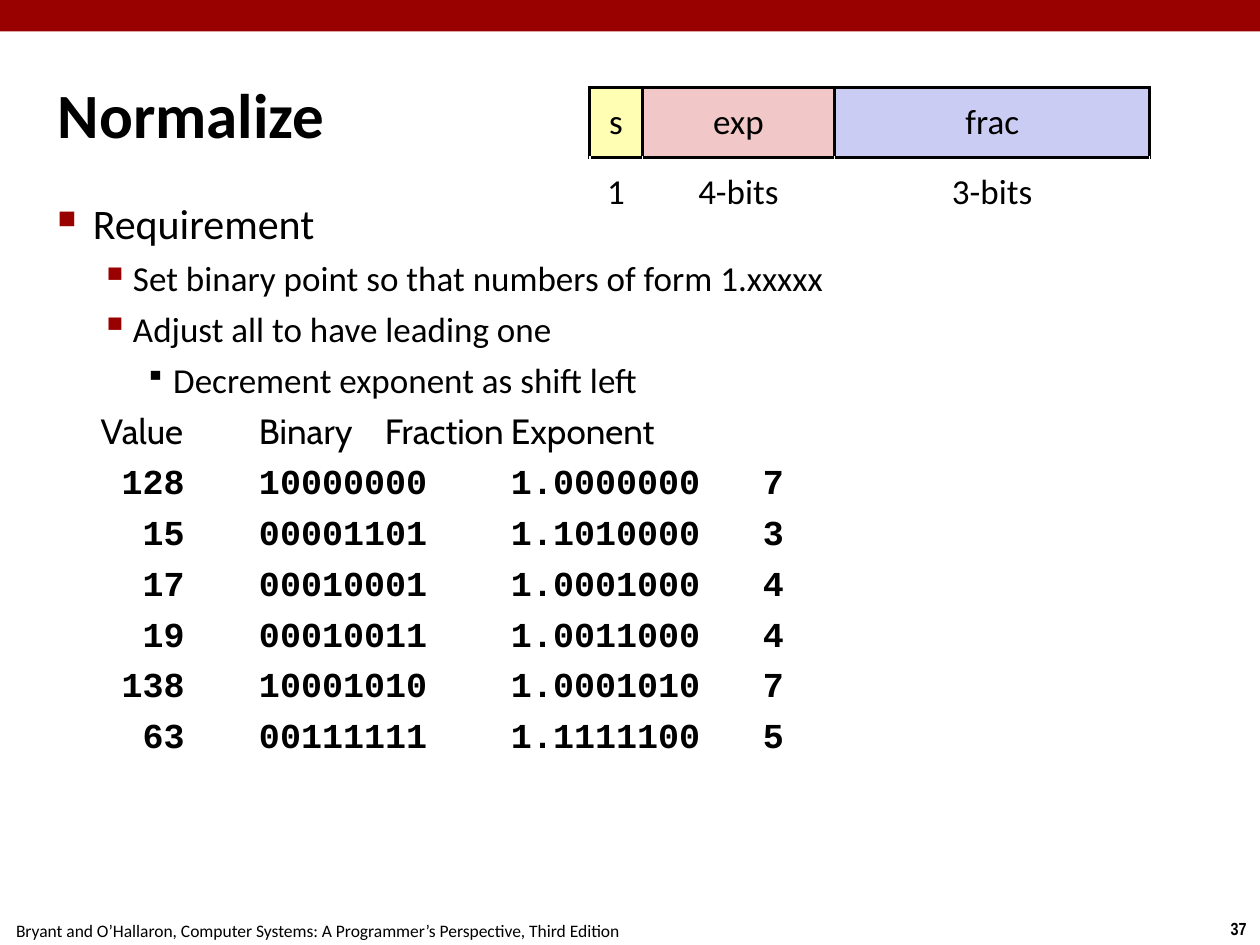
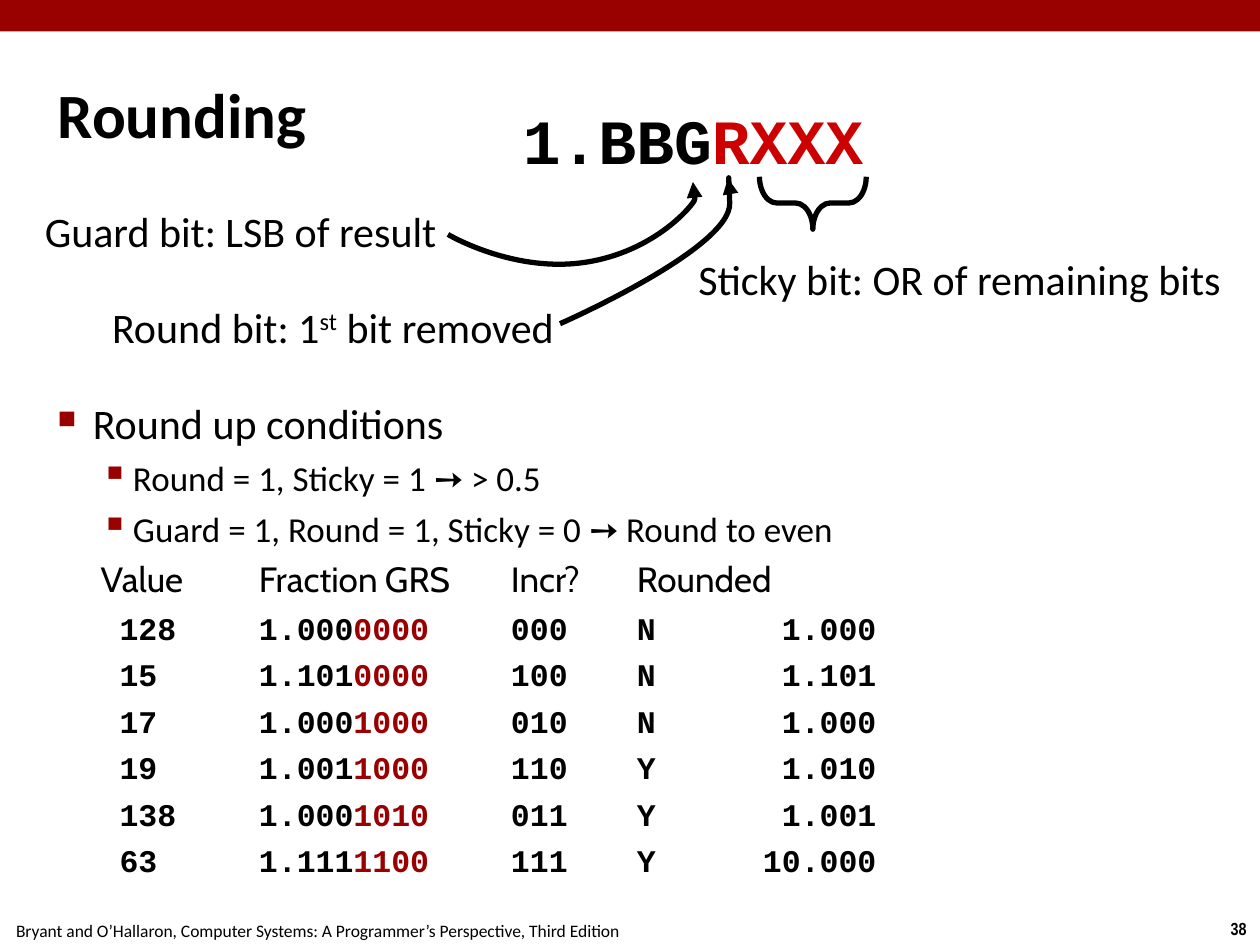
import pptx
import pptx.util
import pptx.dml.color
import pptx.enum.shapes
import pptx.enum.text
import pptx.oxml.ns
import lxml.etree

Pt = pptx.util.Pt
qn = pptx.oxml.ns.qn
SHAPE = pptx.enum.shapes.MSO_SHAPE
ALIGN = pptx.enum.text.PP_ALIGN
ANCHOR = pptx.enum.text.MSO_ANCHOR
AUTO = pptx.enum.text.MSO_AUTO_SIZE

BLACK, BAND, DROPPED, REMOVED = "000000", "990000", "980002", "CC0000"
SANS, HEAD, MONO, NUMBER = "Calibri", "Cabin", "Courier New", "Arial Narrow"
FOOTER = "Bryant and O’Hallaron, Computer Systems: A Programmer’s Perspective, Third Edition"
LEVELS = {
    "topic": (20, -20, 6, "■", BAND, 60),
    "point": (43, -18.5, 5, "▪", BAND, 110),
    "detail": (66, -16, 5, "▪", BLACK, 80),
    "row": (43, -18.5, 5, None, None, None),
}


def rgb(value):
    """Return the colour for a hex string."""
    return pptx.dml.color.RGBColor.from_string(value)


def child(parent, tag, **attrs):
    """Append a drawing element to parent and return it."""
    return lxml.etree.SubElement(parent, qn(tag), {k: str(v) for k, v in attrs.items()})


class Deck:
    """Holds the presentation style and the current slide."""

    def __init__(self):
        """Start an empty 10 by 7.5 inch presentation."""
        self.prs = pptx.Presentation()
        self.prs.slide_width, self.prs.slide_height = Pt(720), Pt(540)

    def font(self, p, size, name=SANS, bold=False, color=BLACK):
        """Set the font of a paragraph."""
        p.font.size, p.font.name, p.font.bold = Pt(size), name, bold
        p.font.color.rgb = rgb(color)

    def frame(self, tf, inset=3, wrap=True, anchor=ANCHOR.TOP):
        """Set the insets, wrapping and anchor of a text frame."""
        tf.margin_left = tf.margin_right = tf.margin_top = tf.margin_bottom = Pt(inset)
        tf.word_wrap, tf.vertical_anchor = wrap, anchor
        tf.auto_size = AUTO.NONE if wrap else AUTO.SHAPE_TO_FIT_TEXT

    def runs(self, p, parts):
        """Add plain strings or (text, colour) pairs as runs."""
        for part in [parts] if isinstance(parts, str) else parts:
            text, color = (part, None) if isinstance(part, str) else part
            r = p.add_run()
            r.text = text
            if color:
                r.font.color.rgb = rgb(color)

    def slide(self, title, number):
        """Add a slide with its band, title and footer."""
        self.s = self.prs.slides.add_slide(self.prs.slide_layouts[5])
        sp = self.s.shapes.add_shape(SHAPE.RECTANGLE, 0, 0, Pt(720), Pt(18))
        sp.shadow.inherit = False
        sp.fill.solid()
        sp.fill.fore_color.rgb = rgb(BAND)
        sp.line.fill.background()
        sp = self.s.shapes.title
        sp.left, sp.top, sp.width, sp.height = Pt(30), Pt(20), Pt(660), Pt(90)
        self.frame(sp.text_frame, anchor=ANCHOR.MIDDLE)
        p = sp.text_frame.paragraphs[0]
        p.alignment = ALIGN.LEFT
        self.font(p, 36, bold=True)
        self.runs(p, title)
        self.text((695.5, 520.5, 24.5, 19.5), number, 10, NUMBER, True, ALIGN.CENTER, inset=4)
        self.text((-1.5, 522, 366, 19.5), FOOTER, 10, align=ALIGN.CENTER, inset=4)

    def text(self, at, parts, size, name=SANS, bold=False, align=ALIGN.LEFT, inset=3, wrap=False):
        """Add a one-paragraph text box and return the paragraph."""
        tf = self.s.shapes.add_textbox(*map(Pt, at)).text_frame
        self.frame(tf, inset, wrap)
        p = tf.paragraphs[0]
        p.alignment = align
        self.font(p, size, name, bold)
        self.runs(p, parts)
        return p

    def body(self, top, lines):
        """Add the outline from (level, parts, size, font, bold) lines."""
        tf = self.s.shapes.add_textbox(Pt(30), Pt(top), Pt(660), Pt(538 - top)).text_frame
        self.frame(tf)
        for i, (level, parts, size, name, bold) in enumerate(lines):
            p = tf.add_paragraph() if i else tf.paragraphs[0]
            left, indent, before, bullet, color, percent = LEVELS[level]
            p.space_before = Pt(before)
            pr = p._p.get_or_add_pPr()
            pr.set("marL", str(Pt(left)))
            pr.set("indent", str(Pt(indent)))
            pr.set("defTabSz", str(Pt(72)))
            if bullet:
                child(child(pr, "a:buClr"), "a:srgbClr", val=color)
                child(pr, "a:buSzPct", val=percent * 1000)
                child(pr, "a:buChar", char=bullet)
            else:
                child(pr, "a:buNone")
            self.font(p, size, name, bold)
            self.runs(p, parts)

    def fields(self, at, widths, height, names, sizes, fills):
        """Add a table of boxed field names over their sizes."""
        frame = self.s.shapes.add_table(2, len(widths), *map(Pt, at), Pt(sum(widths)), Pt(2 * height))
        table = frame.table
        table.first_row = table.horz_banding = False
        for row in table.rows:
            row.height = Pt(height)
        for c, width in enumerate(widths):
            table.columns[c].width = Pt(width)
            for r, text in enumerate((names[c], sizes[c])):
                cell = table.cell(r, c)
                cell.margin_left = cell.margin_right = Pt(4)
                cell.margin_top = cell.margin_bottom = Pt(4)
                cell.vertical_anchor = ANCHOR.MIDDLE
                p = cell.text_frame.paragraphs[0]
                p.alignment = ALIGN.CENTER
                self.font(p, 20)
                self.runs(p, text)
                for side in ("T",) if r else ("L", "R", "T", "B"):
                    ln = child(cell._tc.get_or_add_tcPr(), "a:ln" + side, w=Pt(2))
                    child(child(ln, "a:solidFill"), "a:srgbClr", val=BLACK)
                if r:
                    cell.fill.background()
                else:
                    cell.fill.solid()
                    cell.fill.fore_color.rgb = rgb(fills[c])

    def outline(self, sp):
        """Give a shape a thick black line and no fill."""
        sp.shadow.inherit = False
        sp.fill.background()
        sp.line.color.rgb = rgb(BLACK)
        sp.line.width = Pt(3)

    def brace(self, at):
        """Add a brace that points down."""
        sp = self.s.shapes.add_shape(SHAPE.LEFT_BRACE, *map(Pt, at))
        sp.adjustments[0], sp.adjustments[1] = 0.33, 0.5
        sp.rotation = 270
        self.outline(sp)

    def arrow(self, start, *points):
        """Add a curved arrow through cubic Bezier points."""
        builder = self.s.shapes.build_freeform(*map(Pt, start))
        builder.add_line_segments([(Pt(x), Pt(y)) for x, y in points], close=False)
        sp = builder.convert_to_shape()
        self.outline(sp)
        track = sp._element.xpath(".//a:path")[0]
        lines = track.findall(qn("a:lnTo"))
        for i in range(0, len(lines), 3):
            curve = child(track, "a:cubicBezTo")
            for line in lines[i:i + 3]:
                curve.append(line[0])
                track.remove(line)
        child(sp.line._get_or_add_ln(), "a:tailEnd", type="triangle")


deck = Deck()

deck.slide("Normalize", "37")
numbers = [
    (128, "10000000", "1.0000000", 7),
    (15, "00001101", "1.1010000", 3),
    (17, "00010001", "1.0001000", 4),
    (19, "00010011", "1.0011000", 4),
    (138, "10001010", "1.0001010", 7),
    (63, "00111111", "1.1111100", 5),
]
deck.body(110, [
    ("topic", "Requirement", 24, SANS, False),
    ("point", "Set binary point so that numbers of form 1.xxxxx", 20, SANS, False),
    ("point", "Adjust all to have leading one", 20, SANS, False),
    ("detail", "Decrement exponent as shift left", 20, SANS, False),
    ("row", "Value\tBinary\tFraction\tExponent", 20, HEAD, False),
] + [("row", f"{value:>4}\t{binary}\t{fraction}\t{exponent}", 20, MONO, True)
     for value, binary, fraction, exponent in numbers])
deck.fields((337, 50), (30, 110, 180), 40, ("s", "exp", "frac"),
            ("1", "4-bits", "3-bits"), ("FFFEB2", "F1C7C7", "CBCCF3"))

deck.slide("Rounding", "38")
decisions = [("000", "N", "1.000"), ("100", "N", "1.101"), ("010", "N", "1.000"),
             ("110", "Y", "1.010"), ("011", "Y", "1.001"), ("111", "Y", "10.000")]
deck.body(224, [
    ("topic", "Round up conditions", 24, SANS, False),
    ("point", "Round = 1, Sticky = 1 ➙ > 0.5", 20, SANS, False),
    ("point", "Guard = 1, Round = 1, Sticky = 0 ➙ Round to even", 20, SANS, False),
    ("row", "Value\tFraction\tGRS\tIncr?\tRounded", 20, HEAD, False),
] + [("row", (f" {value}\t{fraction[:5]}", (fraction[5:] + "\t", DROPPED),
              f"{grs}\t{incr}\t{rounded:>6}"), 18, MONO, True)
     for (value, _, fraction, _), (grs, incr, rounded) in zip(numbers, decisions)])
deck.text((295, 55, 202, 49.5), ("1.BBG", ("RXXX", REMOVED)), 36, MONO, True, ALIGN.CENTER)
deck.text((11.5, 114.5, 241, 35), "Guard bit: LSB of result", 24, align=ALIGN.RIGHT, wrap=True)
p = deck.text((52.5, 169, 267, 35), ("Round bit: 1", "st", " bit removed"), 24, align=ALIGN.RIGHT)
p.runs[1]._r.get_or_add_rPr().set("baseline", "30000")
deck.brace((449.5, 85.5, 30, 61))
deck.text((396, 142, 314, 35), "Sticky bit: OR of remaining bits", 24)
deck.arrow((320, 185), (320, 185), (418, 142), (417, 116), (416, 90), (416, 102), (416, 102))
deck.arrow((256, 134), (256, 134), (293, 156), (334, 150),
           (375, 144), (397, 116), (397, 114), (397, 112), (396, 104), (396, 104))

deck.prs.save("out.pptx")
